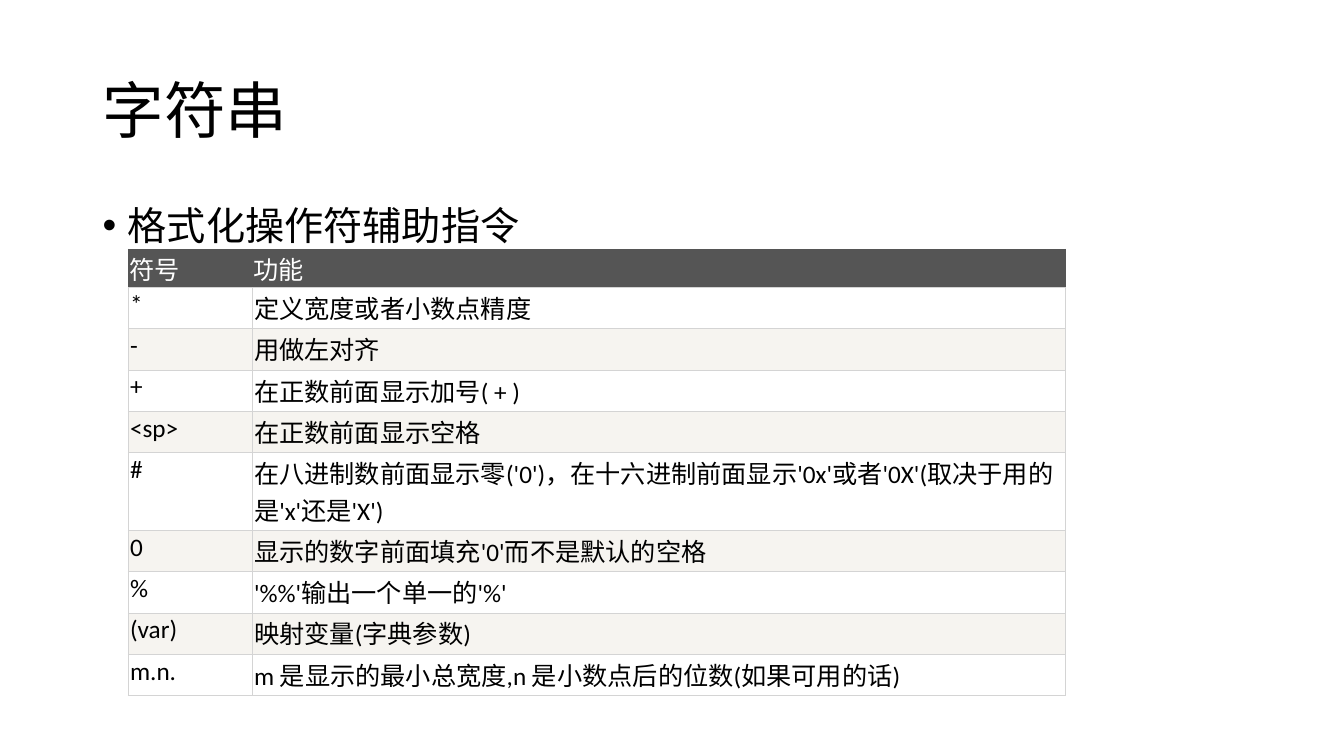
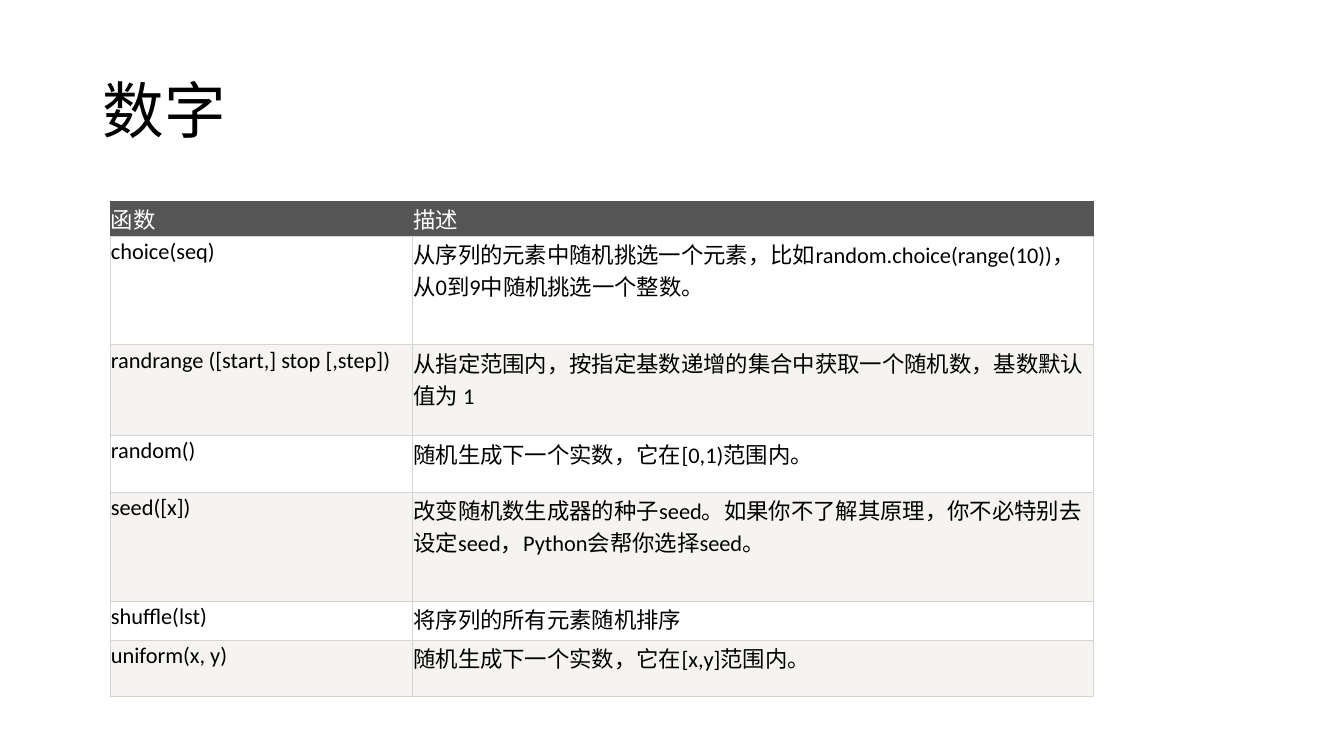
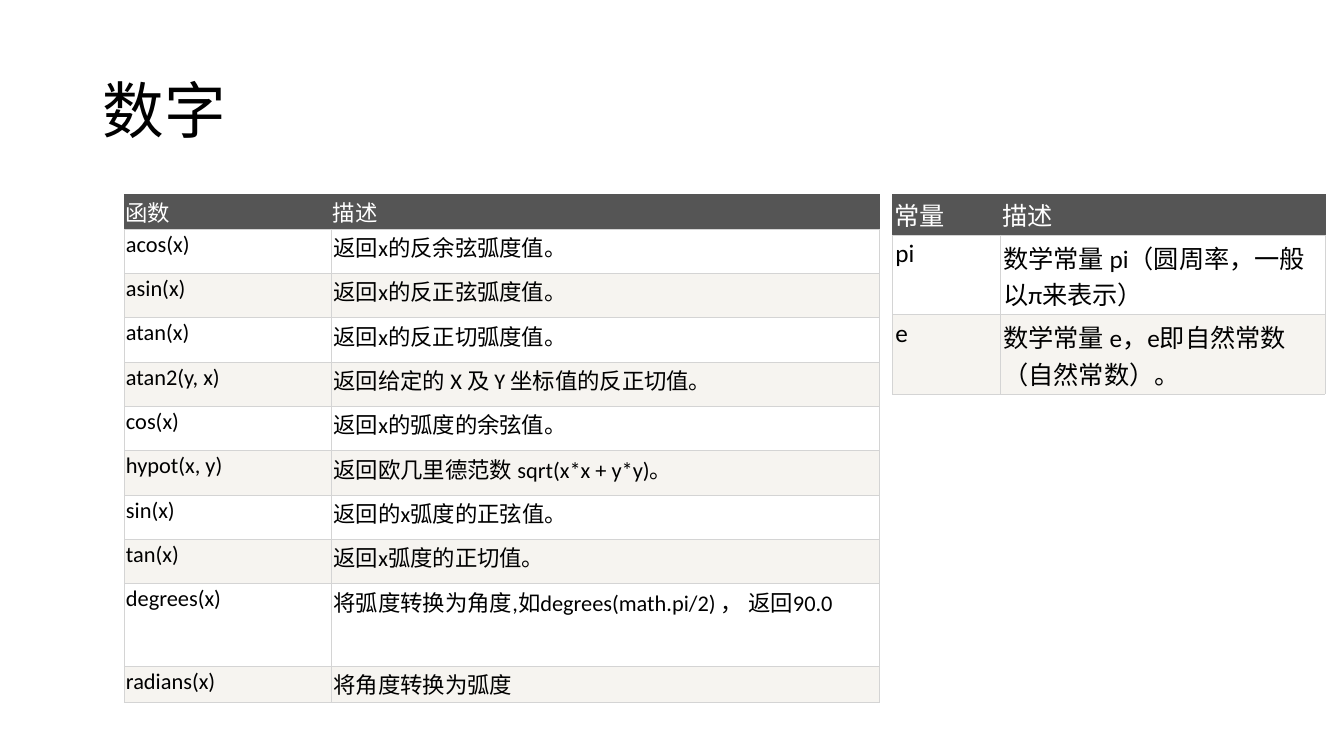
from lxml import etree
from pptx import Presentation
from pptx.dml.color import RGBColor
from pptx.enum.lang import MSO_LANGUAGE_ID
from pptx.enum.text import MSO_ANCHOR
from pptx.oxml.ns import qn
from pptx.util import Inches, Pt

COLORS = {
    "text": "000000",
    "header_text": "FFFFFF",
    "header": "555555",
    "border": "D4D4D4",
    "odd_row": "FFFFFF",
    "even_row": "F6F4F0",
}
FONT = "Calibri"
CHINESE = MSO_LANGUAGE_ID.SIMPLIFIED_CHINESE
MIDDLE = MSO_ANCHOR.MIDDLE
BLANK_LAYOUT = 6
CONTENT_LEFT, CONTENT_WIDTH = 0.92, 11.5
BORDER_WIDTH = Pt(0.38)

FORMAT_ROWS = [
    ("符号", "功能"),
    ("*", "定义宽度或者小数点精度"),
    ("-", "用做左对齐"),
    ("+", "在正数前面显示加号( + )"),
    ("<sp>", "在正数前面显示空格"),
    ("#", "在八进制数前面显示零('0')，在十六进制前面显示'0x'或者'0X'(取决于用的是'x'还是'X')"),
    ("0", "显示的数字前面填充'0'而不是默认的空格"),
    ("%", "'%%'输出一个单一的'%'"),
    ("(var)", "映射变量(字典参数)"),
    ("m.n.", "m 是显示的最小总宽度,n 是小数点后的位数(如果可用的话)"),
]
RANDOM_ROWS = [
    ("函数", "描述"),
    ("choice(seq)", "从序列的元素中随机挑选一个元素，比如random.choice(range(10))，从0到9中随机挑选一个整数。"),
    ("randrange ([start,] stop [,step])", "从指定范围内，按指定基数递增的集合中获取一个随机数，基数默认值为 1"),
    ("random()", "随机生成下一个实数，它在[0,1)范围内。"),
    ("seed([x])", "改变随机数生成器的种子seed。如果你不了解其原理，你不必特别去设定seed，Python会帮你选择seed。"),
    ("shuffle(lst)", "将序列的所有元素随机排序"),
    ("uniform(x, y)", "随机生成下一个实数，它在[x,y]范围内。"),
]
TRIGONOMETRY_ROWS = [
    ("函数", "描述"),
    ("acos(x)", "返回x的反余弦弧度值。"),
    ("asin(x)", "返回x的反正弦弧度值。"),
    ("atan(x)", "返回x的反正切弧度值。"),
    ("atan2(y, x)", "返回给定的 X 及 Y 坐标值的反正切值。"),
    ("cos(x)", "返回x的弧度的余弦值。"),
    ("hypot(x, y)", "返回欧几里德范数 sqrt(x*x + y*y)。"),
    ("sin(x)", "返回的x弧度的正弦值。"),
    ("tan(x)", "返回x弧度的正切值。"),
    ("degrees(x)", "将弧度转换为角度,如degrees(math.pi/2) ， 返回90.0"),
    ("radians(x)", "将角度转换为弧度"),
]
CONSTANT_ROWS = [
    ("常量", "描述"),
    ("pi", "数学常量 pi（圆周率，一般以π来表示）"),
    ("e", "数学常量 e，e即自然常数（自然常数）。"),
]


def color(name):
    return RGBColor.from_string(COLORS[name])


def add_span(para, text, size, color_name="text"):
    span = para.add_run()
    span.text = text
    span.font.name = FONT
    span.font.size = Pt(size)
    span.font.color.rgb = color(color_name)
    span.font.language_id = CHINESE


def add_text(page, text, top, height, size):
    """Add a one-paragraph box across the content width; return box and paragraph."""
    box = page.shapes.add_textbox(
        Inches(CONTENT_LEFT), Inches(top), Inches(CONTENT_WIDTH), Inches(height))
    box.text_frame.word_wrap = True
    para = box.text_frame.paragraphs[0]
    para.line_spacing = 0.9
    add_span(para, text, size)
    return box, para


def add_page(deck, title):
    page = deck.slides.add_slide(deck.slide_layouts[BLANK_LAYOUT])
    box, _ = add_text(page, title, 0.4, 1.45, 44)
    box.text_frame.vertical_anchor = MIDDLE
    return page


def add_bullet(page, text):
    _, para = add_text(page, text, 2, 4.76, 28)
    properties = para._p.get_or_add_pPr()
    properties.set("marL", str(Inches(0.25)))
    properties.set("indent", str(-Inches(0.25)))
    etree.SubElement(properties, qn("a:buFont"), typeface="Arial")
    etree.SubElement(properties, qn("a:buChar"), char="•")


def set_borders(cell, side_color, bottom_color):
    properties = cell._tc.get_or_add_tcPr()
    for side in "LRTB":
        line = etree.SubElement(properties, qn(f"a:ln{side}"), w=str(BORDER_WIDTH))
        fill = etree.SubElement(line, qn("a:solidFill"))
        name = bottom_color if side == "B" else side_color
        etree.SubElement(fill, qn("a:srgbClr"), val=COLORS[name])


def fill_cell(cell, text, row_index, size, inset):
    is_header = row_index == 0
    set_borders(cell, "header" if is_header else "border", "border")
    cell.fill.solid()
    stripe = "odd_row" if row_index % 2 else "even_row"
    cell.fill.fore_color.rgb = color("header" if is_header else stripe)
    horizontal, vertical = inset
    cell.margin_left = cell.margin_right = Inches(horizontal)
    cell.margin_top = cell.margin_bottom = Inches(vertical)
    add_span(cell.text_frame.paragraphs[0], text, size,
             "header_text" if is_header else "text")


def add_grid(page, rows, left, top, widths, heights, size,
             header_inset=(0.01, 0.01), body_inset=(0.02, 0.02)):
    frame = page.shapes.add_table(
        len(rows), len(widths), Inches(left), Inches(top),
        Inches(sum(widths)), Inches(sum(heights)))
    table = frame.table
    table.first_row = table.horz_banding = False
    for column, width in zip(table.columns, widths):
        column.width = Inches(width)
    for row_index, (texts, height) in enumerate(zip(rows, heights)):
        table.rows[row_index].height = Inches(height)
        inset = body_inset if row_index else header_inset
        for column_index, text in enumerate(texts):
            fill_cell(table.cell(row_index, column_index), text, row_index, size, inset)


def main():
    deck = Presentation()
    deck.slide_width, deck.slide_height = Inches(13.33), Inches(7.5)

    page = add_page(deck, "字符串")
    add_bullet(page, "格式化操作符辅助指令")
    add_grid(page, FORMAT_ROWS, 1.27, 2.47, [1.23, 8.07],
             [0.38] + [0.41] * 4 + [0.77] + [0.41] * 4, 18)

    page = add_page(deck, "数字")
    add_grid(page, RANDOM_ROWS, 1.09, 2, [3, 6.75],
             [0.34, 1.08, 0.9, 0.56, 1.08, 0.39, 0.56], 16, body_inset=(0.01, 0.02))

    page = add_page(deck, "数字")
    add_grid(page, TRIGONOMETRY_ROWS, 1.23, 1.93, [2.06, 5.43],
             [0.34] + [0.44] * 8 + [0.82, 0.36], 16)
    add_grid(page, CONSTANT_ROWS, 8.85, 1.93, [1.07, 3.22], [0.4, 0.79, 0.79], 18,
             header_inset=(0.02, 0.02), body_inset=(0.03, 0.04))

    deck.save("out.pptx")


if __name__ == "__main__":
    main()
